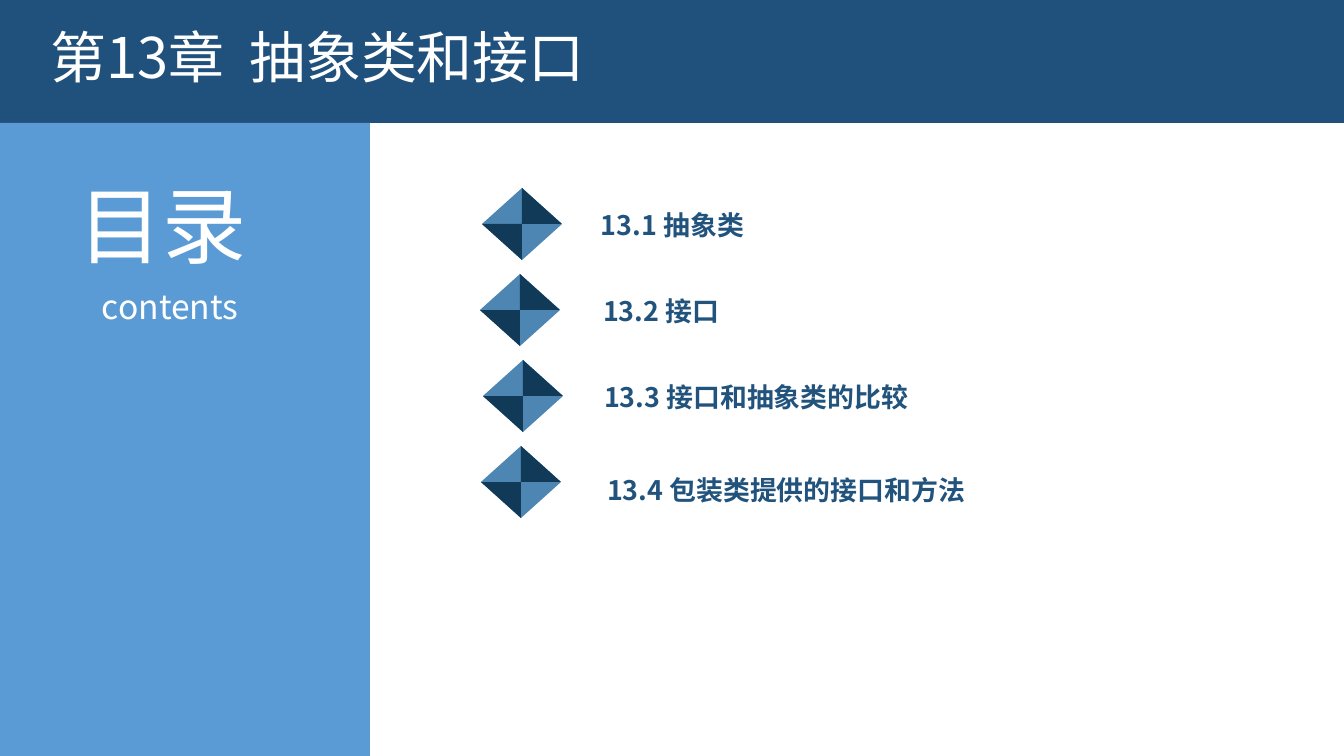
from dataclasses import dataclass

from lxml import etree
from pptx import Presentation
from pptx import util as u
from pptx.dml.color import RGBColor
from pptx.enum import shapes, text
from pptx.oxml import ns

# Content
TITLE = "第13章  抽象类和接口"
SIDE_HEADING = "目录"
SIDE_CAPTION = "contents"
# label, marker centre x, text left, text top, text width (px)
ITEMS = [
    ("13.1 抽象类", 522, 593, 198, 594),
    ("13.2 接口", 520, 595, 284, 166),
    ("13.3 接口和抽象类的比较", 523, 596, 370, 543),
    ("13.4 包装类提供的接口和方法", 521, 599, 463, 617),
]


@dataclass(frozen=True)
class Theme:
    font: str = "Noto Sans CJK SC"
    header: str = "20517C"
    side: str = "5B9BD5"
    light: str = "4D86B3"
    dark: str = "113A59"
    item: str = "21537D"
    white: str = "FFFFFF"
    title_pt: int = 40
    heading_pt: int = 60
    body_pt: int = 24


T = Theme()
PX = 914400 / 100.8
SLIDE_W, SLIDE_H = 1344, 756
HEADER_H, SIDE_W = 123, 370
MARKER_TOP, MARKER_STEP = 188, 86
HALF_W, HALF_H = 40, 36
ITEM_H = 48


def px(*values):
    return [u.Emu(round(v * PX)) for v in values]


def paint(sp, color):
    sp.shadow.inherit = False
    sp.fill.solid()
    sp.fill.fore_color.rgb = RGBColor.from_string(color)
    sp.line.fill.background()
    return sp


def write(sp, words, size, color, bold=False, small_caps=False):
    tf = sp.text_frame
    tf.text = words
    tf.word_wrap = True
    tf.auto_size = text.MSO_AUTO_SIZE.NONE
    p = tf.paragraphs[0]
    p.alignment = text.PP_ALIGN.LEFT
    r = p.runs[0]
    r.font.size, r.font.bold, r.font.name = u.Pt(size), bold, T.font
    r.font.color.rgb = RGBColor.from_string(color)
    props = r.font._element
    east_asian = etree.SubElement(props, ns.qn("a:ea"))
    east_asian.set("typeface", T.font)
    if small_caps:
        props.set("cap", "small")
    return tf


def add_band(s, *box):
    return s.shapes.add_shape(shapes.MSO_SHAPE.RECTANGLE, *px(*box))


def add_marker(s, cx, top):
    """Diamond of two light triangles with two dark quarters on top."""
    grp = s.shapes.add_group_shape().shapes
    mid = top + HALF_H
    for y, turn, side in ((top, 0, 1), (mid, 180, -1)):
        half = grp.add_shape(shapes.MSO_SHAPE.ISOSCELES_TRIANGLE,
                             *px(cx - HALF_W, y, 2 * HALF_W, HALF_H))
        half.rotation = turn
        paint(half, T.light)
        quarter = grp.build_freeform(cx, mid - side * HALF_H, scale=PX)
        quarter.add_line_segments([(cx, mid), (cx + side * HALF_W, mid)])
        paint(quarter.convert_to_shape(), T.dark)


def main():
    prs = Presentation()
    prs.slide_width, prs.slide_height = px(SLIDE_W, SLIDE_H)
    s = prs.slides.add_slide(prs.slide_layouts[5])

    # Header and side panel
    paint(add_band(s, 0, 0, SLIDE_W, HEADER_H), T.header)
    paint(add_band(s, 0, HEADER_H, SIDE_W, SLIDE_H - HEADER_H), T.side)
    heading = s.shapes.add_textbox(*px(69, 169, 221, 112))
    write(heading, SIDE_HEADING, T.heading_pt, T.white)
    caption = s.shapes.add_textbox(*px(92, 281, 175, 51))
    write(caption, SIDE_CAPTION, T.body_pt, T.white)

    # Title, raised above the header band
    title = s.shapes.title
    title.left, title.top, title.width, title.height = px(40, 17, 1023, 78)
    write(title, TITLE, T.title_pt, T.white)
    s.shapes._spTree.append(title._element)

    # Contents list
    for i, (label, cx, left, top, width) in enumerate(ITEMS):
        add_marker(s, cx, MARKER_TOP + i * MARKER_STEP)
        sp = s.shapes.add_textbox(*px(left, top, width, ITEM_H))
        tf = write(sp, label, T.body_pt, T.item, bold=True, small_caps=True)
        tf.margin_left = tf.margin_right = px(8)[0]
        tf.margin_top = tf.margin_bottom = px(4)[0]

    prs.save("out.pptx")


if __name__ == "__main__":
    main()
